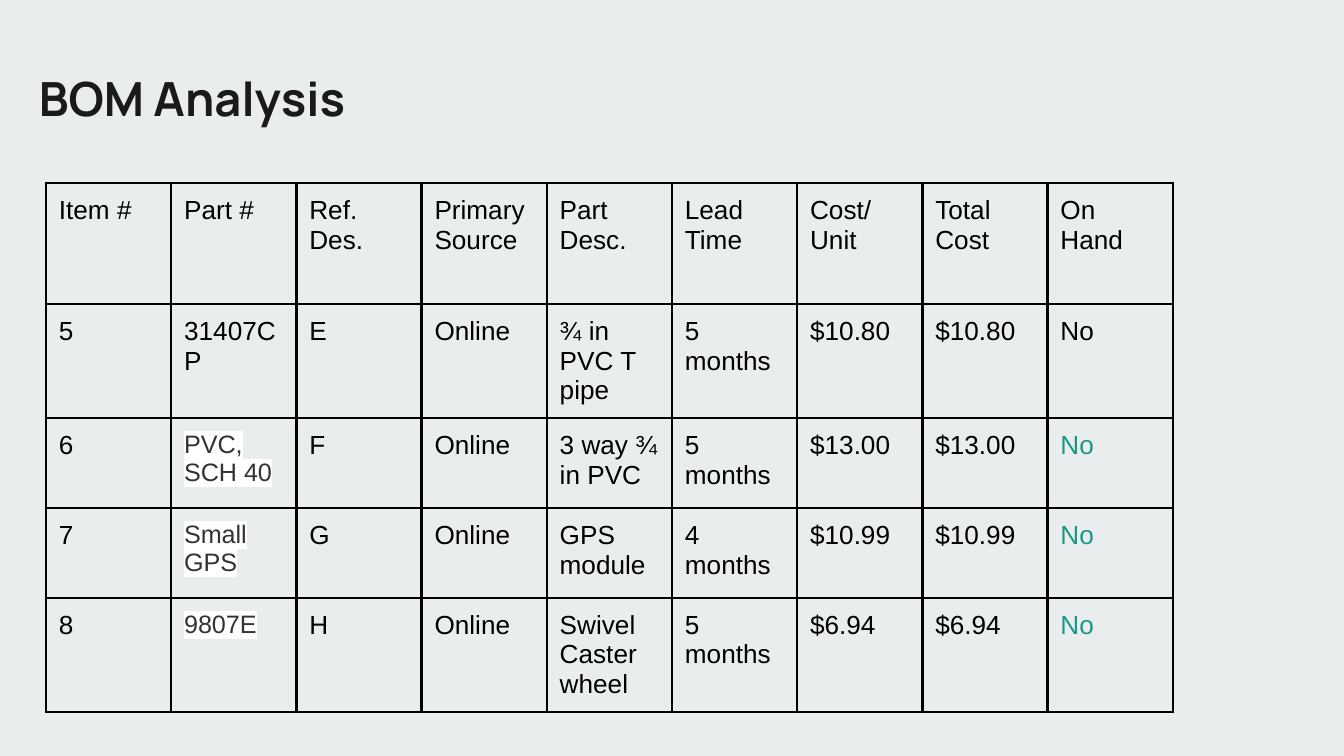
from lxml import etree
from pptx import Presentation
from pptx import util as u
from pptx.dml.color import RGBColor
from pptx.enum import text
from pptx.oxml import ns

SCALE = 914400 / 134.4
INSET = 13
BACKGROUND = RGBColor(0xE9, 0xED, 0xEE)
INK = RGBColor(0x1A, 0x1A, 0x1A)
BLACK = RGBColor(0, 0, 0)
GREY = RGBColor(0x33, 0x33, 0x33)
WHITE = RGBColor(0xFF, 0xFF, 0xFF)
TEAL = RGBColor(0x1A, 0x99, 0x88)

HEADER = ["Item #", "Part #", "Ref. Des.", "Primary Source", "Part Desc.",
          "Lead Time", "Cost/ Unit", "Total Cost", "On Hand"]
PARTS = [
    ["5", "31407CP", "E", "Online", "¾ in PVC T pipe", "5 months", "$10.80", "$10.80", "No"],
    ["6", "PVC, SCH 40", "F", "Online", "3 way ¾ in PVC", "5 months", "$13.00", "$13.00", "No"],
    ["7", "Small GPS", "G", "Online", "GPS module", "4 months", "$10.99", "$10.99", "No"],
    ["8", "9807E", "H", "Online", "Swivel Caster wheel", "5 months", "$6.94", "$6.94", "No"],
]
HEADER_HEIGHT, PART_HEIGHT = 121, 90
PART_COLUMN, HAND_COLUMN = HEADER.index("Part #"), HEADER.index("On Hand")


def px(length):
    return u.Emu(round(length * SCALE))


def add_color(parent, tag, color):
    element = etree.SubElement(parent, ns.qn(tag))
    etree.SubElement(element, ns.qn("a:srgbClr"), val=str(color))


def write(para, words, font="Arial", size=14, color=BLACK, bold=False, highlight=None):
    para.alignment = text.PP_ALIGN.LEFT
    span = para.add_run()
    span.text = words
    span.font.size = u.Pt(size)
    span.font.bold = bold
    span.font.color.rgb = color
    if highlight is not None:
        add_color(span.font._element, "a:highlight", highlight)
    span.font.name = font


def set_insets(box):
    box.margin_left = box.margin_right = px(INSET)
    box.margin_top = box.margin_bottom = px(INSET)
    box.vertical_anchor = text.MSO_ANCHOR.TOP


def add_borders(cell, color=BLACK, width=1.5):
    properties = cell._tc.get_or_add_tcPr()
    for side in ("a:lnL", "a:lnR", "a:lnT", "a:lnB"):
        line = etree.SubElement(properties, ns.qn(side), w=str(u.Pt(width)))
        add_color(line, "a:solidFill", color)


def cell_format(row, column):
    if row > 1 and column == PART_COLUMN:
        return {"size": 13.5, "color": GREY, "highlight": WHITE}
    if row > 1 and column == HAND_COLUMN:
        return {"color": TEAL}
    return {}


def add_title(page, words):
    title = page.shapes.title
    title.left, title.top, title.width, title.height = map(px, (26, 56, 1130, 79))
    frame = title.text_frame
    frame.auto_size = text.MSO_AUTO_SIZE.NONE
    frame.word_wrap = True
    set_insets(frame)
    write(frame.paragraphs[0], words, font="Manrope", size=25.2, color=INK, bold=True)


def add_parts_table(page, rows):
    height = HEADER_HEIGHT + PART_HEIGHT * (len(rows) - 1)
    table = page.shapes.add_table(len(rows), len(HEADER), px(46), px(183),
                                  px(1127), px(height)).table
    table.first_row = table.horz_banding = False
    for r, values in enumerate(rows):
        table.rows[r].height = px(PART_HEIGHT if r else HEADER_HEIGHT)
        for c, value in enumerate(values):
            cell = table.cell(r, c)
            set_insets(cell)
            add_borders(cell)
            cell.fill.background()
            write(cell.text_frame.paragraphs[0], value, **cell_format(r, c))


def main():
    deck = Presentation()
    deck.slide_width, deck.slide_height = px(1344), px(756)
    page = deck.slides.add_slide(deck.slide_layouts.get_by_name("Title Only"))
    page.background.fill.solid()
    page.background.fill.fore_color.rgb = BACKGROUND
    add_title(page, "BOM Analysis")
    add_parts_table(page, [HEADER, *PARTS])
    deck.save("out.pptx")


if __name__ == "__main__":
    main()
